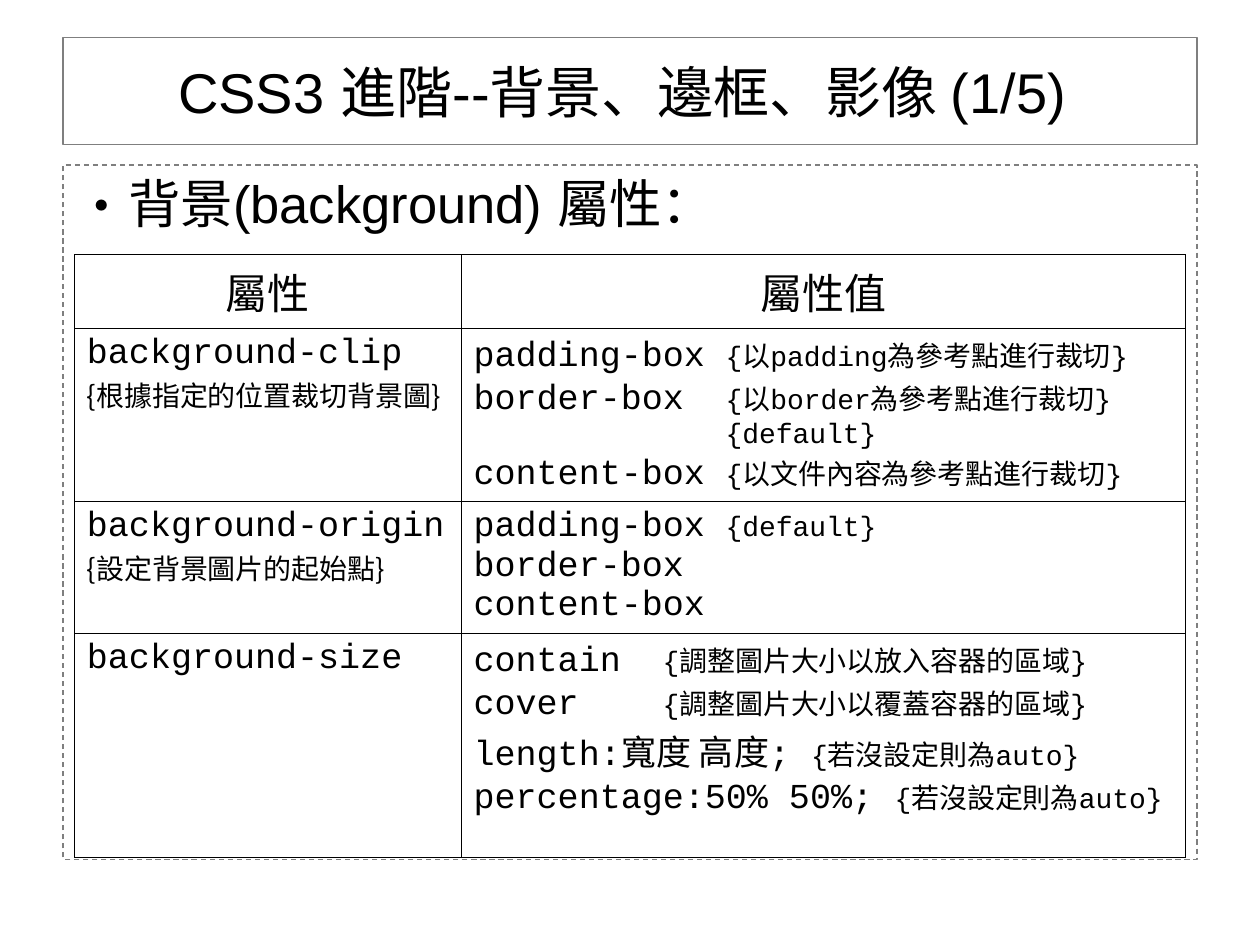
from lxml import etree
from pptx import Presentation
from pptx import util as u
from pptx.dml import color
from pptx.enum import dml, text
from pptx.oxml import ns

Pt = u.Pt
SANS, MONO, CJK = "Arial", "Courier New", "Noto Sans CJK TC"
BLACK, GRAY = "000000", "7F7F7F"


def rgb(value):
    return color.RGBColor.from_string(value)


def add_child(parent, tag, **attributes):
    values = {name: str(value) for name, value in attributes.items()}
    return etree.SubElement(parent, ns.qn(tag), values)


def add_run(paragraph, words, size, name):
    run = paragraph.add_run()
    run.text = words
    run.font.size = Pt(size)
    run.font.name = name
    run.font.color.rgb = rgb(BLACK)
    add_child(run.font._element, "a:ea", typeface=CJK)


def frame_placeholder(shape, box, dash=None):
    shape.left, shape.top, shape.width, shape.height = map(Pt, box)
    shape.line.color.rgb = rgb(GRAY)
    shape.line.width = Pt(0.75)
    if dash:
        shape.line.dash_style = dash
    shape.text_frame.word_wrap = True
    shape.text_frame.auto_size = text.MSO_AUTO_SIZE.NONE
    return shape.text_frame


def fill_title(shape, box):
    frame = frame_placeholder(shape, box)
    frame.vertical_anchor = text.MSO_ANCHOR.MIDDLE
    paragraph = frame.paragraphs[0]
    paragraph.alignment = text.PP_ALIGN.CENTER
    add_run(paragraph, "CSS3 進階--背景、邊框、影像 (1/5) ", 32, SANS)


def fill_body(shape, box):
    frame = frame_placeholder(shape, box, dml.MSO_LINE.DASH)
    frame.vertical_anchor = text.MSO_ANCHOR.TOP
    paragraph = frame.paragraphs[0]
    paragraph.space_before = Pt(0)
    properties = paragraph._p.get_or_add_pPr()
    properties.set("marL", str(Pt(30)))
    properties.set("indent", str(-Pt(30)))
    add_child(properties, "a:buFont", typeface=CJK)
    add_child(properties, "a:buChar", char="‧")
    add_run(paragraph, "背景(background) 屬性：", 30, SANS)


def outline_cell(cell):
    properties = cell._tc.get_or_add_tcPr()
    for side in ("a:lnL", "a:lnR", "a:lnT", "a:lnB"):
        line = add_child(properties, side, w=Pt(0.45))
        fill = add_child(line, "a:solidFill")
        add_child(fill, "a:srgbClr", val=BLACK)
    cell.fill.background()


def fill_cell(cell, lines, tab=None, centered=False):
    outline_cell(cell)
    frame = cell.text_frame
    for index, runs in enumerate(lines):
        paragraph = frame.add_paragraph() if index else frame.paragraphs[0]
        if centered:
            paragraph.alignment = text.PP_ALIGN.CENTER
        if tab:
            tabs = add_child(paragraph._p.get_or_add_pPr(), "a:tabLst")
            add_child(tabs, "a:tab", pos=Pt(tab), algn="l")
        for words, size, name in runs:
            add_run(paragraph, words, size, name)


def code(words):
    return (words, 20, MONO)


def note(words, name=MONO):
    return (words, 16, name)


def clip_note(*parts):
    names = (SANS, MONO)
    inner = [note(part, names[index % 2]) for index, part in enumerate(parts)]
    return [note("{"), *inner, note("}")]


def add_property_table(slide, box, widths, heights):
    rows = [
        ([[code("background-clip")], [note("{根據指定的位置裁切背景圖}", CJK)]],
         [[code("padding-box\t"), *clip_note("以", "padding", "為參考點進行裁切")],
          [code("border-box\t"), *clip_note("以", "border", "為參考點進行裁切")],
          [note("\t{default}")],
          [code("content-box\t"), *clip_note("以文件內容為參考點進行裁切")]], 144),
        ([[code("background-origin")], [note("{設定背景圖片的起始點}", CJK)]],
         [[code("padding-box\t"), note("{default}")],
          [code("border-box")],
          [code("content-box")]], 144),
        ([[code("background-size")]],
         [[code("contain\t"), note("{調整圖片大小以放入容器的區域}")],
          [code("cover\t"), note("{調整圖片大小以覆蓋容器的區域}")],
          [code("length:寬度 高度; "), note("{若沒設定則為auto}")],
          [code("percentage:50% 50%; "), note("{若沒設定則為auto}")]], 108),
    ]
    shape = slide.shapes.add_table(len(heights), len(widths), *map(Pt, box))
    table = shape.table
    table.first_row = table.horz_banding = False
    for column, width in zip(table.columns, widths):
        column.width = Pt(width)
    for row, height in zip(table.rows, heights):
        row.height = Pt(height)
    for index, heading in enumerate(("屬性", "屬性值")):
        fill_cell(table.cell(0, index), [[(heading, 24, SANS)]], centered=True)
    for index, (names, values, tab) in enumerate(rows, start=1):
        fill_cell(table.cell(index, 0), names)
        fill_cell(table.cell(index, 1), values, tab)


def main():
    presentation = Presentation()
    presentation.slide_width, presentation.slide_height = Pt(720), Pt(540)
    slide = presentation.slides.add_slide(presentation.slide_layouts[1])
    fill_title(slide.shapes.title, (36, 21.6, 648, 61.2))
    fill_body(slide.placeholders[1], (36, 94.3, 648, 396.7))
    add_property_table(slide, (42.5, 145.4, 635, 343.4),
                       (221, 414), (41.8, 98.6, 75.6, 127.4))
    presentation.save("out.pptx")


if __name__ == "__main__":
    main()
